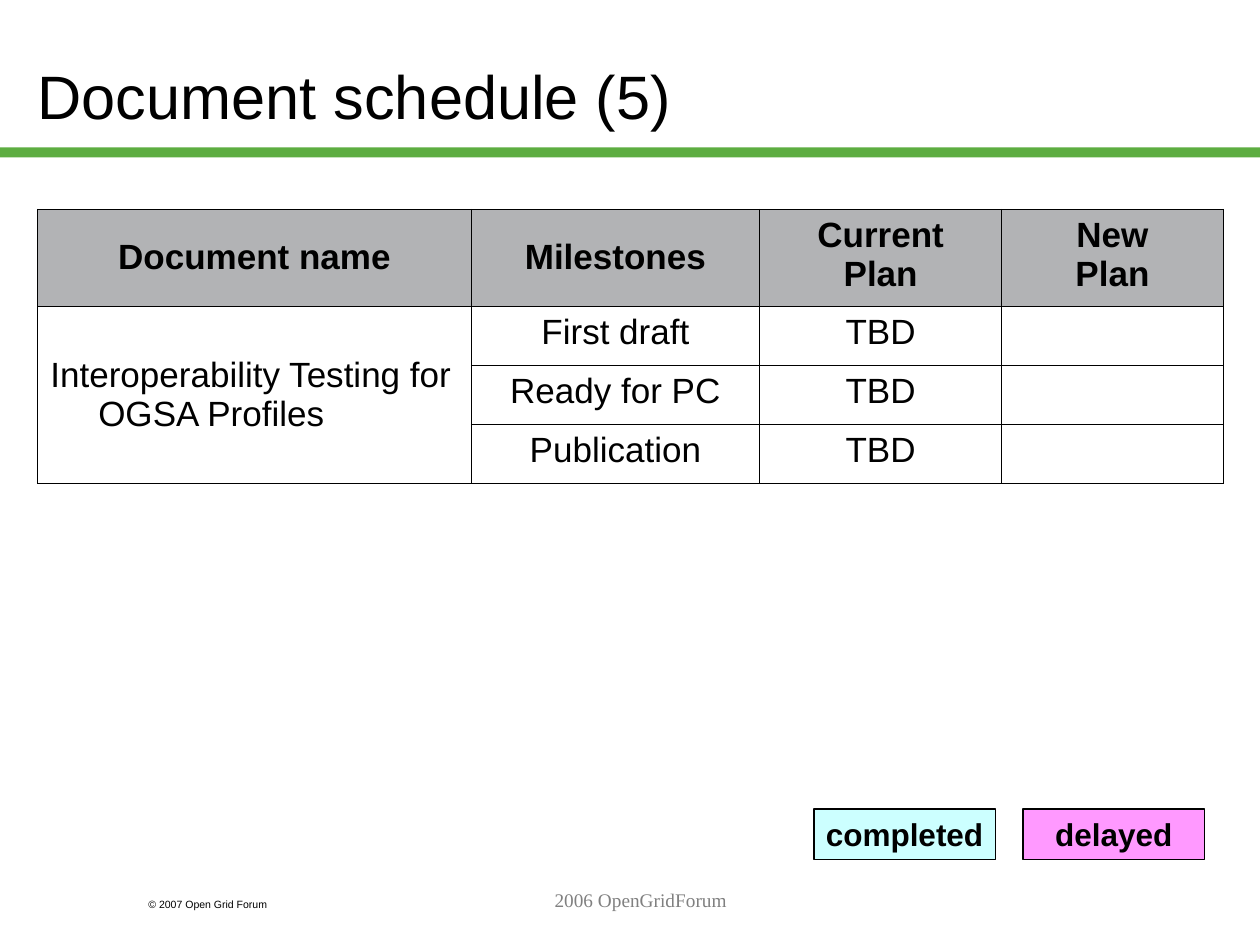
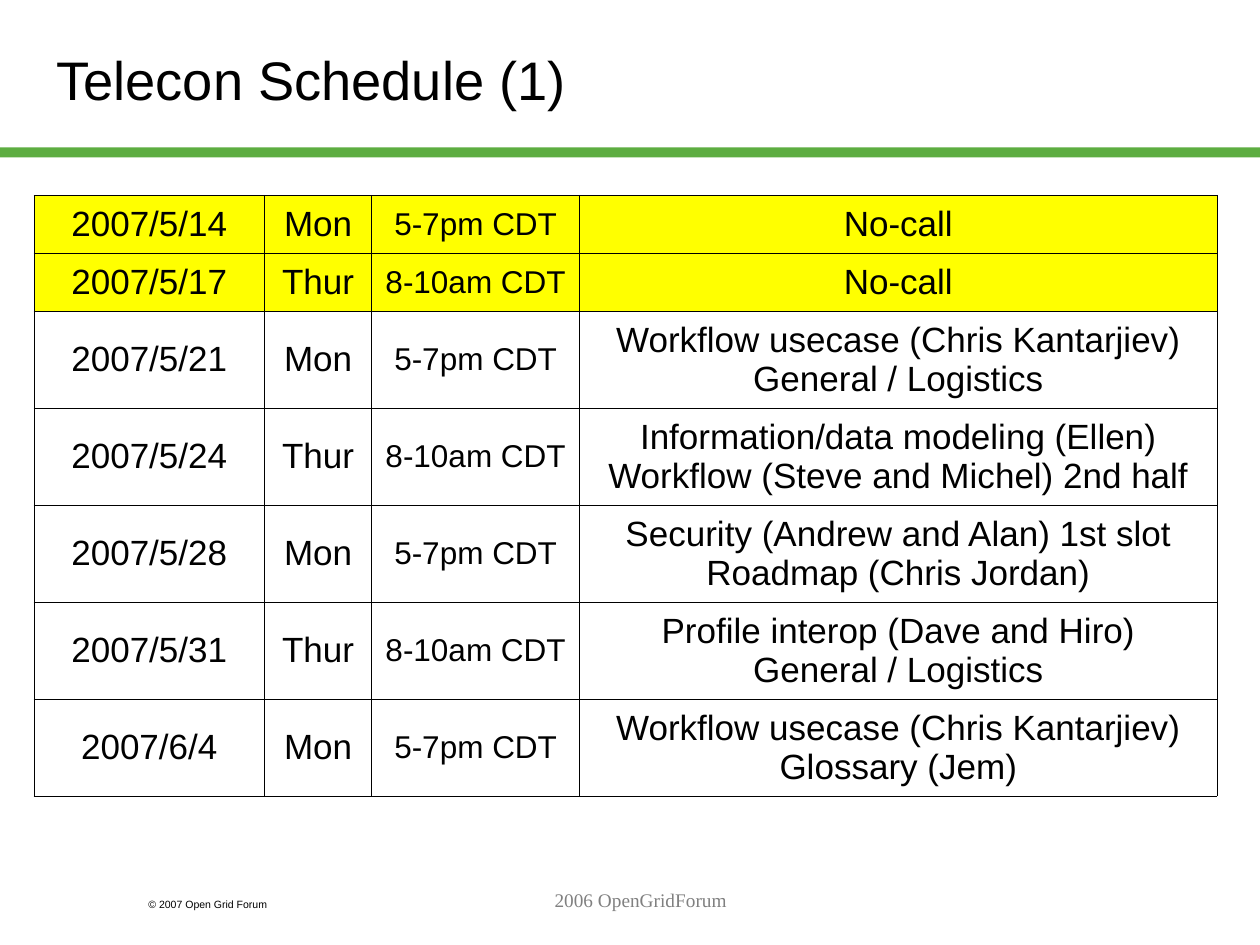
"""Builds the document schedule and telecon schedule slides."""
from lxml.etree import SubElement
from pptx import Presentation
from pptx.dml.color import RGBColor
from pptx.enum.shapes import MSO_SHAPE
from pptx.enum.text import MSO_ANCHOR as Anchor, PP_ALIGN as Align
from pptx.oxml.ns import qn
from pptx.util import Inches, Pt

COLORS = {
    "text": "000000",
    "footer": "808080",
    "band": "5DAD41",
    "header": "B2B3B5",
    "plain": "FFFFFF",
    "no_call": "FFFF00",
    "completed": "CCFFFF",
    "delayed": "FF99FF",
}
BORDER_WIDTH = Pt(0.45)


def write_text(holder, text, size, align=Align.CENTER, bold=False, font="Arial", color="text"):
    text_frame = holder.text_frame
    text_frame.text = text
    text_frame.word_wrap = True
    for paragraph in text_frame.paragraphs:
        paragraph.alignment = align
        for run in paragraph.runs:
            run.font.name = font
            run.font.size = Pt(size)
            run.font.bold = bold
            run.font.color.rgb = RGBColor.from_string(COLORS[color])


def add_grid(slide, left, top, widths, heights, rows, row_fills, sizes, bold_rows=()):
    frame = slide.shapes.add_table(
        len(heights), len(widths), Inches(left), Inches(top),
        Inches(sum(widths)), Inches(sum(heights)))
    table = frame.table
    table.first_row = table.horz_banding = False
    for column, width in zip(table.columns, widths):
        column.width = Inches(width)
    for row_index, (height, texts) in enumerate(zip(heights, rows)):
        table.rows[row_index].height = Inches(height)
        for column_index, text in enumerate(texts):
            cell = table.cell(row_index, column_index)
            write_text(cell, text, sizes[column_index], bold=row_index in bold_rows)
            cell.vertical_anchor = Anchor.MIDDLE
            properties = cell._tc.get_or_add_tcPr()
            for side in ("a:lnL", "a:lnR", "a:lnT", "a:lnB"):
                line = SubElement(properties, qn(side), w=str(BORDER_WIDTH))
                SubElement(SubElement(line, qn("a:solidFill")), qn("a:srgbClr"), val=COLORS["text"])
            cell.fill.solid()
            cell.fill.fore_color.rgb = RGBColor.from_string(COLORS[row_fills[row_index]])
    return table


presentation = Presentation()
presentation.slide_width = Inches(10)
presentation.slide_height = Inches(7.5)

titles = [
    ("Document schedule (5)", 35, (0.2, 0.13, 8.5, 1.25)),
    ("Telecon Schedule (1)", 31, (0.35, 0.17, 8.9, 0.91)),
]
for title, title_size, title_box in titles:
    slide = presentation.slides.add_slide(presentation.slide_layouts[6])
    band = slide.shapes.add_shape(MSO_SHAPE.RECTANGLE, 0, Inches(1.17), Inches(10), Inches(0.08))
    band.shadow.inherit = False
    band.fill.solid()
    band.fill.fore_color.rgb = RGBColor.from_string(COLORS["band"])
    band.line.fill.background()

    heading = slide.shapes.add_textbox(*map(Inches, title_box))
    write_text(heading, title, title_size, Align.LEFT)
    heading.text_frame.vertical_anchor = Anchor.MIDDLE

    copyright_box = slide.shapes.add_textbox(Inches(1.08), Inches(7.08), Inches(1.5), Inches(0.2))
    write_text(copyright_box, "© 2007 Open Grid Forum", 6, Align.LEFT)
    footer = slide.shapes.add_textbox(Inches(2.17), Inches(7), Inches(5.83), Inches(0.5))
    write_text(footer, "2006 OpenGridForum", 11, font="Times New Roman", color="footer")

document_slide, telecon_slide = presentation.slides

document_rows = [
    ("Document name", "Milestones", "Current\nPlan", "New\nPlan"),
    ("Interoperability Testing for OGSA Profiles", "First draft", "TBD", ""),
    ("", "Ready for PC", "TBD", ""),
    ("", "Publication", "TBD", ""),
]
document_table = add_grid(
    document_slide, 0.3, 1.66, (3.44, 2.29, 1.92, 1.76), (0.77, 0.47, 0.47, 0.47),
    document_rows, ["header"] + ["plain"] * 3, [20] * 4, bold_rows=(0,))
for row_index in range(4):
    for column_index in range(1, 4):
        if (row_index, column_index) != (0, 1):
            document_table.cell(row_index, column_index).vertical_anchor = Anchor.TOP
document_name = document_table.cell(1, 0)
document_name.merge(document_table.cell(3, 0))
name_paragraph = document_name.text_frame.paragraphs[0]
name_paragraph.alignment = Align.LEFT
name_properties = name_paragraph._p.get_or_add_pPr()
name_properties.set("marL", str(Inches(0.38)))
name_properties.set("indent", str(-Inches(0.38)))

for index, status in enumerate(("completed", "delayed")):
    legend = document_slide.shapes.add_shape(
        MSO_SHAPE.RECTANGLE, Inches(6.46 + 1.66 * index), Inches(6.42), Inches(1.44), Inches(0.4))
    legend.shadow.inherit = False
    legend.fill.solid()
    legend.fill.fore_color.rgb = RGBColor.from_string(COLORS[status])
    legend.line.color.rgb = RGBColor.from_string(COLORS["text"])
    legend.line.width = Pt(0.75)
    write_text(legend, status, 18, bold=True)
    legend.text_frame.word_wrap = False
    legend.text_frame.vertical_anchor = Anchor.MIDDLE

call_times = {"Mon": "5-7pm CDT", "Thur": "8-10am CDT"}
calls = [
    ("2007/5/14", "Mon", "No-call"),
    ("2007/5/17", "Thur", "No-call"),
    ("2007/5/21", "Mon", "Workflow usecase (Chris Kantarjiev)\nGeneral / Logistics"),
    ("2007/5/24", "Thur", "Information/data modeling (Ellen)\nWorkflow (Steve and Michel) 2nd half"),
    ("2007/5/28", "Mon", "Security (Andrew and Alan) 1st slot\nRoadmap (Chris Jordan)"),
    ("2007/5/31", "Thur", "Profile interop (Dave and Hiro)\nGeneral / Logistics"),
    ("2007/6/4", "Mon", "Workflow usecase (Chris Kantarjiev)\nGlossary (Jem)"),
]
telecon_rows = [(date, day, call_times[day], topic) for date, day, topic in calls]
add_grid(
    telecon_slide, 0.27, 1.55, (1.83, 0.85, 1.65, 5.06), [0.46] * 2 + [0.77] * 5,
    telecon_rows, ["no_call"] * 2 + ["plain"] * 5, (20, 20, 18, 20))

presentation.save("out.pptx")
